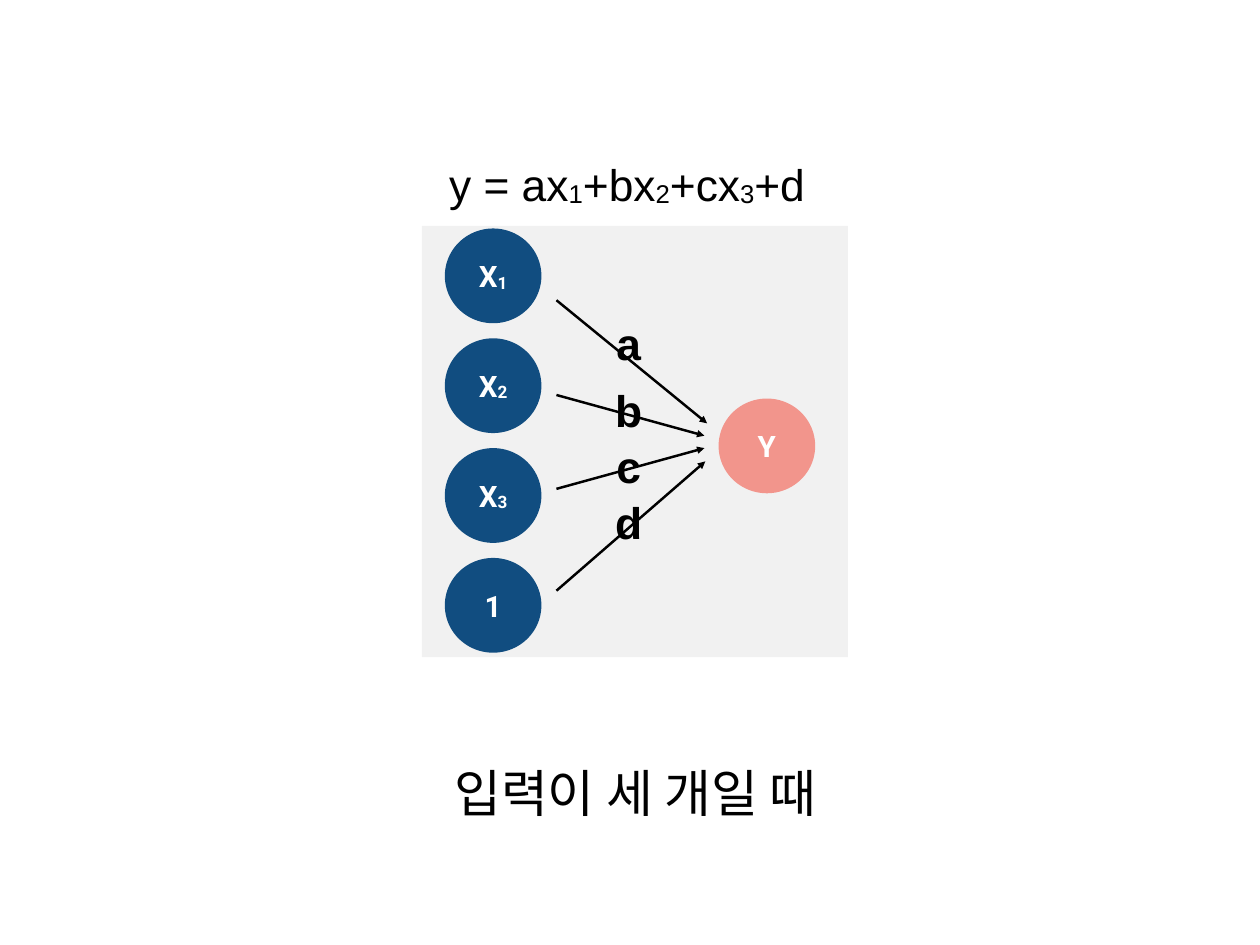
"""Build the slide that shows a linear model with three inputs."""
from dataclasses import dataclass

from lxml import etree
from pptx import Presentation
from pptx.dml.color import RGBColor
from pptx.enum import shapes, text
from pptx.oxml import ns
from pptx.util import Inches, Pt


@dataclass(frozen=True)
class Theme:
    """Colours, fonts and type sizes of the slide."""
    ink: str = "000000"
    panel: str = "929292"
    source: str = "114D80"
    target: str = "F2958C"
    node_text: str = "FFFFFF"
    body_font: str = "Arial"
    node_font: str = "Roboto"
    node_size: float = 24
    formula_size: float = 36
    caption_size: float = 41.4
    subscript: str = "-5999"


@dataclass(frozen=True)
class Node:
    """A neuron; every second part of its label is a subscript."""
    label: tuple[str, ...]
    left: float
    top: float
    fill: str


@dataclass(frozen=True)
class Weight:
    """A weighted arrow from an input to the output."""
    name: str
    label_top: float
    start: tuple[float, float]
    end: tuple[float, float]


THEME = Theme()
NODE_SIZE = (1.09, 1.07)
INPUT_TOP, INPUT_PITCH = 2.58, 1.24
ARROW_START = 6.28
LABEL_LEFT, LABEL_WIDTH, LABEL_HEIGHT = 6.88, 0.43, 0.71
INPUTS = [("X", "1"), ("X", "2"), ("X", "3"), ("1",)]
NODES = [Node(label, 5.02, INPUT_TOP + row * INPUT_PITCH, THEME.source)
         for row, label in enumerate(INPUTS)]
NODES.append(Node(("Y",), 8.11, 4.5, THEME.target))
WEIGHTS = [
    Weight("a", 3.51, (ARROW_START, 3.39), (7.98, 4.78)),
    Weight("b", 4.27, (ARROW_START, 4.46), (7.95, 4.92)),
    Weight("c", 4.9, (ARROW_START, 5.52), (7.95, 5.06)),
    Weight("d", 5.54, (ARROW_START, 6.67), (7.96, 5.21)),
]
FORMULA = ("y = ax", "1", "+bx", "2", "+cx", "3", "+d")
CENTER, LEFT = text.PP_ALIGN.CENTER, text.PP_ALIGN.LEFT


def place(shape, left: float, top: float, width: float, height: float) -> None:
    """Move and size a shape in inches."""
    box = {"left": left, "top": top, "width": width, "height": height}
    for side, length in box.items():
        setattr(shape, side, Inches(length))


def write(shape, parts: tuple[str, ...], size: float, font: str = THEME.body_font,
          color: str = THEME.ink, bold: bool = False, align=CENTER, wrap: bool = True) -> None:
    """Write one line of text, lowering every second part."""
    frame = shape.text_frame
    margins = {f"margin_{side}": Inches(0.06) for side in ("left", "top", "right", "bottom")}
    layout = margins | {"word_wrap": wrap, "auto_size": text.MSO_AUTO_SIZE.NONE,
                        "vertical_anchor": text.MSO_ANCHOR.MIDDLE}
    for name, value in layout.items():
        setattr(frame, name, value)
    paragraph = frame.paragraphs[0]
    for name, value in {"alignment": align, "space_before": Pt(0)}.items():
        setattr(paragraph, name, value)
    for index, part in enumerate(parts):
        run = paragraph.add_run()
        run.text = part
        for name, value in {"size": Pt(size), "name": font, "bold": bold}.items():
            setattr(run.font, name, value)
        run.font.color.rgb = RGBColor.from_string(color)
        if index % 2:
            run.font._element.set("baseline", THEME.subscript)


def add_filled(slide, kind, fill: str, box: tuple[float, float, float, float]):
    """Add a flat preset shape without outline."""
    shape = slide.shapes.add_shape(kind, *map(Inches, box))
    shape.shadow.inherit = False
    shape.fill.solid()
    shape.fill.fore_color.rgb = RGBColor.from_string(fill)
    shape.line.fill.background()
    return shape


def add_panel(slide) -> None:
    """Add the translucent panel behind the network."""
    panel = add_filled(slide, shapes.MSO_SHAPE.RECTANGLE, THEME.panel, (4.76, 2.55, 4.81, 4.87))
    color = panel._element.spPr.find(".//" + ns.qn("a:srgbClr"))
    etree.SubElement(color, ns.qn("a:alpha"), val="12000")


def add_node(slide, node: Node) -> None:
    """Add one labelled neuron."""
    circle = add_filled(slide, shapes.MSO_SHAPE.OVAL, node.fill, (node.left, node.top, *NODE_SIZE))
    write(circle, node.label, THEME.node_size, THEME.node_font, THEME.node_text, bold=True)


def add_arrow(slide, weight: Weight) -> None:
    """Add the arrow of one weight."""
    ends = map(Inches, (*weight.start, *weight.end))
    arrow = slide.shapes.add_connector(shapes.MSO_CONNECTOR.STRAIGHT, *ends)
    arrow.line.color.rgb = RGBColor.from_string(THEME.ink)
    arrow.line.width = Pt(2)
    etree.SubElement(arrow.line._ln, ns.qn("a:tailEnd"), type="triangle")
    etree.SubElement(arrow._element.spPr, ns.qn("a:effectLst"))


def add_weight_label(slide, weight: Weight) -> None:
    """Add the name of one weight over its arrow."""
    box = (LABEL_LEFT, weight.label_top, LABEL_WIDTH, LABEL_HEIGHT)
    label = slide.shapes.add_textbox(*map(Inches, box))
    write(label, (weight.name,), THEME.formula_size, bold=True, wrap=False)


def fill_placeholders(slide) -> None:
    """Set the formula as title and the caption as body."""
    formula, caption = slide.shapes.title, slide.placeholders[1]
    place(formula, 5.01, 1.73, 4.32, 0.69)
    write(formula, FORMULA, THEME.formula_size, align=LEFT)
    place(caption, 1.07, 8.52, 12.2, 0.85)
    properties = caption.text_frame.paragraphs[0]._p.get_or_add_pPr()
    for name in ("marL", "indent"):
        properties.set(name, "0")
    etree.SubElement(properties, ns.qn("a:buNone"))
    write(caption, ("입력이 세 개일 때",), THEME.caption_size)


def main() -> None:
    """Build and save the presentation."""
    deck = Presentation()
    deck.slide_width, deck.slide_height = Inches(14.22), Inches(10.67)
    slide = deck.slides.add_slide(deck.slide_layouts[1])
    fill_placeholders(slide)
    add_panel(slide)
    for node in NODES:
        add_node(slide, node)
    for weight in WEIGHTS:
        add_arrow(slide, weight)
    for weight in WEIGHTS:
        add_weight_label(slide, weight)
    deck.save("out.pptx")


if __name__ == "__main__":
    main()
